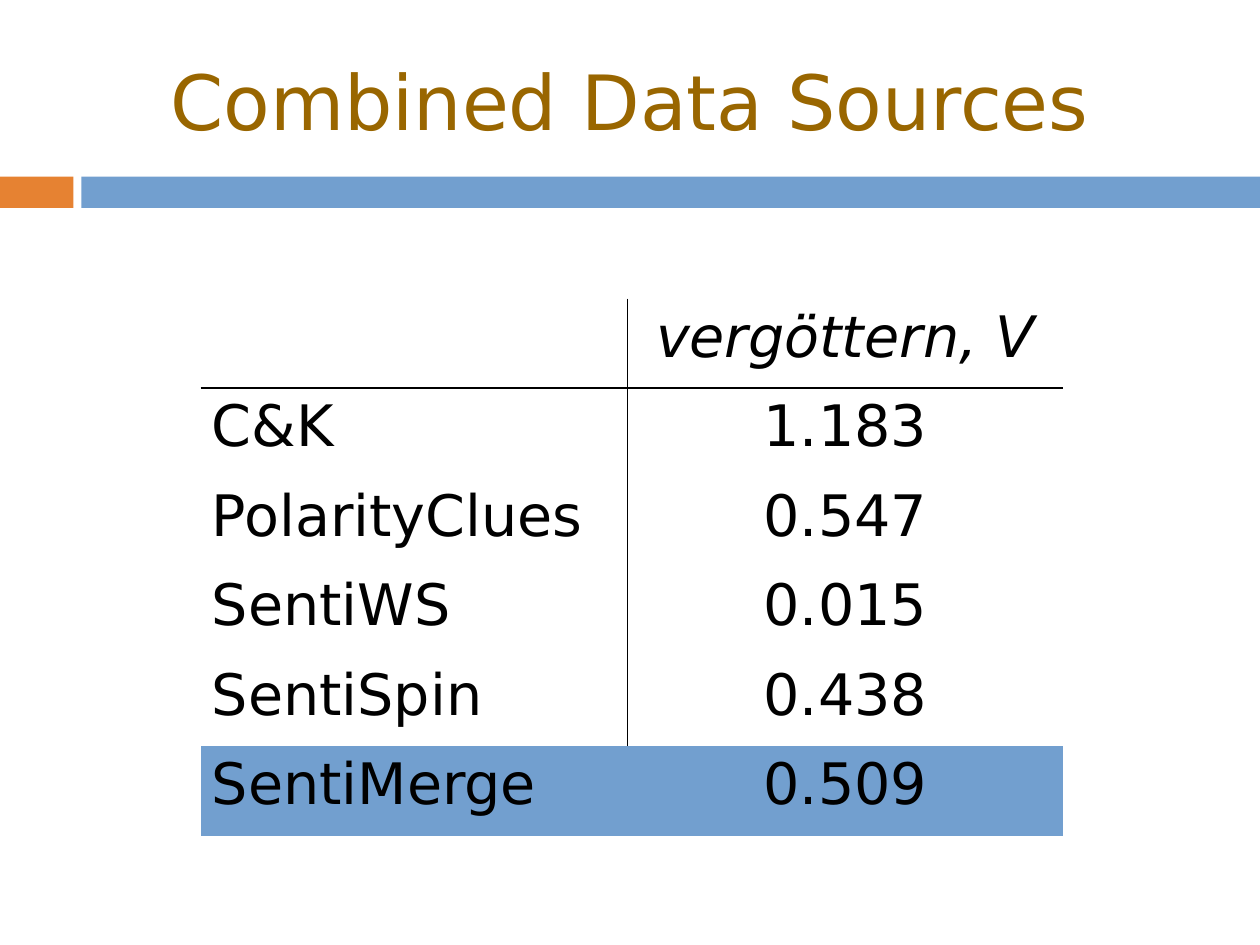
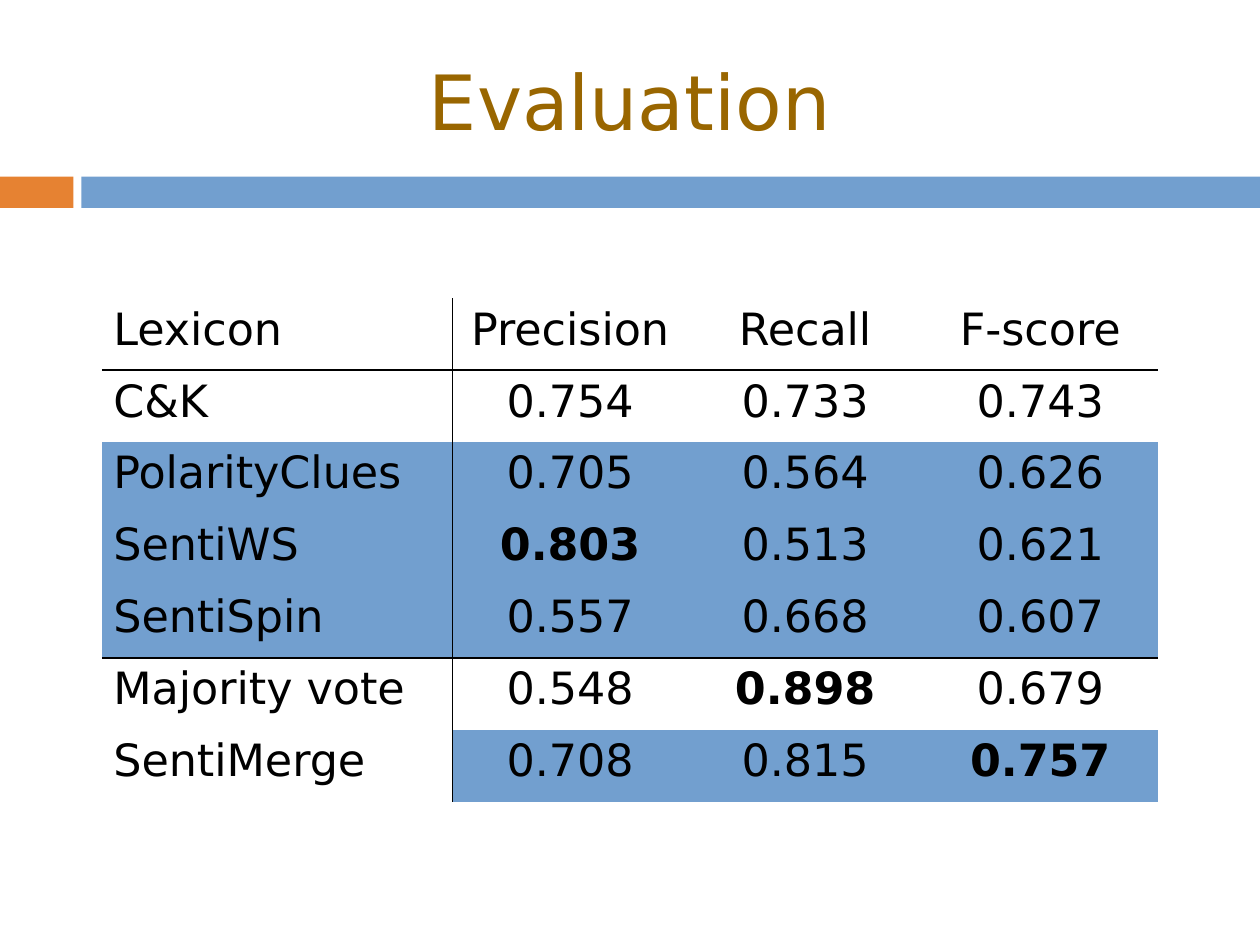
from dataclasses import dataclass

from lxml import etree
from pptx import Presentation
from pptx import util as u
from pptx.dml.color import RGBColor
from pptx.enum import shapes, text
from pptx.oxml import ns
from pptx.slide import Slide
from pptx.table import _Cell as Cell
from pptx.text.text import TextFrame

# Shared style
SLIDE_WIDTH, SLIDE_HEIGHT = 793.7, 595.3
FONT = "DejaVu Sans"
WHITE = RGBColor(0xFF, 0xFF, 0xFF)
BLACK = RGBColor(0, 0, 0)
BROWN = RGBColor(0x99, 0x66, 0x00)
ORANGE = RGBColor(0xE6, 0x82, 0x32)
BLUE = RGBColor(0x72, 0x9F, 0xCF)
BAND_TOP, BAND_HEIGHT = 111.2, 19.8
RULE_WIDTH = 1.13
PLAIN_TABLE_STYLE = "{2D5ABB26-0587-4C30-8999-92F81FD0307C}"
LEFT, CENTER = text.PP_ALIGN.LEFT, text.PP_ALIGN.CENTER


@dataclass(frozen=True)
class Band:
    left: float
    width: float
    color: RGBColor


@dataclass(frozen=True)
class ScoreTable:
    title: str
    left: float
    top: float
    columns: tuple[float, ...]
    row_height: float
    size: int
    rows: tuple[tuple[str, ...], ...]
    highlighted: frozenset[tuple[int, int]]  # (row, column)
    ruled_below: frozenset[int]
    label_rule_rows: int  # rows with a rule right of the labels
    italic_header: bool = False
    bold: frozenset[tuple[int, int]] = frozenset()


BANDS = (Band(0, 46.3, ORANGE), Band(51.3, SLIDE_WIDTH - 51.3, BLUE))

TABLES = (
    ScoreTable(
        title="Combined Data Sources",
        left=126.3, top=188.1, columns=(269.1, 274.3), row_height=56.4, size=36,
        rows=(
            ("", "vergöttern, V"),
            ("C&K", "1.183"),
            ("PolarityClues", "0.547"),
            ("SentiWS", "0.015"),
            ("SentiSpin", "0.438"),
            ("SentiMerge", "0.509"),
        ),
        highlighted=frozenset({(5, 0), (5, 1)}),
        ruled_below=frozenset({0}),
        label_rule_rows=5,
        italic_header=True,
    ),
    ScoreTable(
        title="Evaluation",
        left=64.2, top=187.9, columns=(220.9, 148.1, 148.1, 148.1),
        row_height=45.3, size=28,
        rows=(
            ("Lexicon", "Precision", "Recall", "F-score"),
            ("C&K", "0.754", "0.733", "0.743"),
            ("PolarityClues", "0.705", "0.564", "0.626"),
            ("SentiWS", "0.803", "0.513", "0.621"),
            ("SentiSpin", "0.557", "0.668", "0.607"),
            ("Majority vote", "0.548", "0.898", "0.679"),
            ("SentiMerge", "0.708", "0.815", "0.757"),
        ),
        highlighted=frozenset(
            {(row, column) for row in (2, 3, 4) for column in range(4)}
            | {(6, column) for column in (1, 2, 3)}
        ),
        ruled_below=frozenset({0, 4}),
        label_rule_rows=7,
        bold=frozenset({(3, 1), (5, 2), (6, 3)}),
    ),
)


def write(frame: TextFrame, words: str, size: int, color: RGBColor,
          alignment: text.PP_ALIGN, bold: bool = False, italic: bool = False) -> None:
    paragraph = frame.paragraphs[0]
    paragraph.alignment = alignment
    run = paragraph.add_run()
    run.text = words
    font = run.font
    font.name, font.size = FONT, u.Pt(size)
    font.bold, font.italic = bold, italic
    font.color.rgb = color


def draw_frame(slide: Slide, title: str) -> None:
    # Bands
    for band in BANDS:
        shape = slide.shapes.add_shape(
            shapes.MSO_SHAPE.RECTANGLE, u.Pt(band.left), u.Pt(BAND_TOP),
            u.Pt(band.width), u.Pt(BAND_HEIGHT))
        shape.shadow.inherit = False
        shape.fill.solid()
        shape.fill.fore_color.rgb = band.color
        shape.line.fill.background()
    # Title
    box = slide.shapes.add_textbox(0, u.Pt(23.8), u.Pt(SLIDE_WIDTH), u.Pt(78.5))
    frame = box.text_frame
    frame.word_wrap = True
    frame.vertical_anchor = text.MSO_ANCHOR.MIDDLE
    frame.margin_left = frame.margin_right = frame.margin_top = frame.margin_bottom = 0
    write(frame, title, 48, BROWN, CENTER)


def add_rule(cell: Cell, side: str) -> None:
    """Draw a black border; side is an element name such as a:lnR."""
    line = etree.Element(ns.qn(side), w=str(u.Pt(RULE_WIDTH)))
    fill = etree.SubElement(line, ns.qn("a:solidFill"))
    etree.SubElement(fill, ns.qn("a:srgbClr"), val=str(BLACK))
    cell._tc.get_or_add_tcPr().insert(0, line)


def draw_table(slide: Slide, scores: ScoreTable) -> None:
    table = slide.shapes.add_table(
        len(scores.rows), len(scores.columns), u.Pt(scores.left), u.Pt(scores.top),
        u.Pt(sum(scores.columns)), u.Pt(scores.row_height * len(scores.rows))).table
    table.first_row = table.horz_banding = False
    table._tbl.tblPr.find(ns.qn("a:tableStyleId")).text = PLAIN_TABLE_STYLE
    for column, width in zip(table.columns, scores.columns):
        column.width = u.Pt(width)

    for row, values in enumerate(scores.rows):
        table.rows[row].height = u.Pt(scores.row_height)
        for column, value in enumerate(values):
            cell = table.cell(row, column)
            place = (row, column)
            cell.fill.solid()
            cell.fill.fore_color.rgb = BLUE if place in scores.highlighted else WHITE
            if value:
                write(cell.text_frame, value, scores.size, BLACK,
                      CENTER if column else LEFT, bold=place in scores.bold,
                      italic=scores.italic_header and row == 0)
            # The schema wants the right border before the bottom one
            if row in scores.ruled_below:
                add_rule(cell, "a:lnB")
            if column == 0 and row < scores.label_rule_rows:
                add_rule(cell, "a:lnR")


def main() -> None:
    presentation = Presentation()
    presentation.slide_width = u.Pt(SLIDE_WIDTH)
    presentation.slide_height = u.Pt(SLIDE_HEIGHT)
    for scores in TABLES:
        slide = presentation.slides.add_slide(presentation.slide_layouts[6])
        draw_frame(slide, scores.title)
        draw_table(slide, scores)
    presentation.save("out.pptx")


if __name__ == "__main__":
    main()
